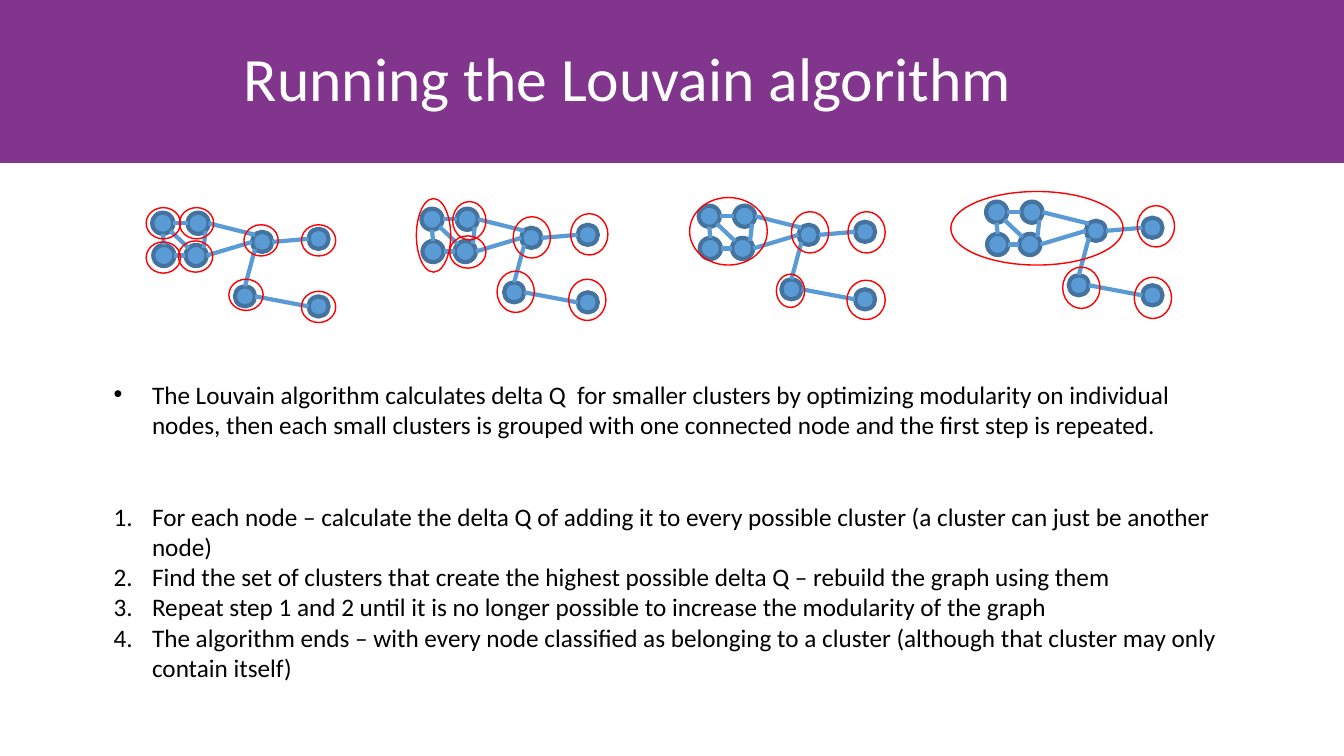
from math import cos, radians, sin
from typing import NamedTuple

from lxml.etree import SubElement
from pptx import Presentation
from pptx.dml.color import RGBColor
from pptx.enum.shapes import MSO_CONNECTOR as Link, MSO_SHAPE as Preset
from pptx.enum.text import MSO_ANCHOR as Anchor
from pptx.oxml.ns import qn
from pptx.util import Inches, Pt

PURPLE, BLUE, DARK_BLUE, RED = "81358D", "5B9BD5", "43739E", "FF0000"
WHITE, BLACK = "FFFFFF", "000000"
FONT = "Calibri"
ANGLES = {"E": 0, "SE": 45, "S": 90, "SW": 135, "W": 180, "NW": 225, "N": 270, "NE": 315}


class Oval(NamedTuple):
    """Left, top, width and height of an ellipse in inches."""
    left: float
    top: float
    width: float
    height: float

    def point(self, side: str) -> tuple[float, float]:
        """Return the point of the outline that faces a compass side."""
        angle = radians(ANGLES[side])
        return (self.left + self.width / 2 * (1 + cos(angle)),
                self.top + self.height / 2 * (1 + sin(angle)))


class Edge(NamedTuple):
    """A link between the sides of two named nodes."""
    start: str
    start_side: str
    end: str
    end_side: str


class Stage(NamedTuple):
    """One step of the algorithm: graph origin and cluster rings."""
    left: float
    top: float
    rings: list[Oval]


# Node places relative to the origin of their graph
NODES = {
    "bottom": Oval(0.82, 0.73, 0.2, 0.2),
    "hub": Oval(0.99, 0.19, 0.2, 0.2),
    "right": Oval(1.55, 0.16, 0.2, 0.2),
    "low right": Oval(1.55, 0.83, 0.2, 0.2),
    "square top left": Oval(0, 0, 0.21, 0.21),
    "square low left": Oval(0.01, 0.32, 0.21, 0.21),
    "square top right": Oval(0.35, 0, 0.21, 0.21),
    "square low right": Oval(0.33, 0.32, 0.21, 0.21),
}
EDGES = [
    Edge("hub", "W", "square low right", "E"),
    Edge("hub", "E", "right", "W"),
    Edge("hub", "NW", "square top right", "E"),
    Edge("bottom", "N", "hub", "SW"),
    Edge("bottom", "E", "low right", "W"),
    Edge("square low right", "W", "square low left", "E"),
    Edge("square low right", "NE", "square top right", "SE"),
    Edge("square low left", "N", "square top left", "S"),
    Edge("square low right", "NW", "square top left", "SE"),
    Edge("square top right", "W", "square top left", "E"),
]


def rings_at(width: float, height: float, *corners: tuple[float, float]) -> list[Oval]:
    """Return rings of one size at the given corners."""
    return [Oval(left, top, width, height) for left, top in corners]


STAGES = [
    Stage(1.51, 2.11, rings_at(
        0.34, 0.31, (1.45, 2.06), (1.45, 2.4), (1.78, 2.06), (1.77, 2.39),
        (2.42, 2.23), (2.99, 2.23), (2.27, 2.77), (2.99, 2.89))),
    Stage(4.18, 2.07, [
        Oval(4.13, 1.97, 0.34, 0.73), Oval(4.49, 2, 0.33, 0.38), Oval(4.46, 2.34, 0.36, 0.32),
        *rings_at(0.37, 0.41, (5.09, 2.15), (5.66, 2.12), (4.93, 2.69), (5.64, 2.77))]),
    Stage(6.93, 2.04, [
        Oval(6.84, 1.96, 0.77, 0.67), Oval(7.7, 2.72, 0.28, 0.33), Oval(8.4, 2.78, 0.38, 0.39),
        *rings_at(0.37, 0.41, (7.85, 2.1), (8.41, 2.1))]),
    Stage(9.78, 2, [
        Oval(9.43, 1.9, 1.71, 0.73),
        *rings_at(0.37, 0.41, (11.25, 2.75), (11.28, 2.04), (10.54, 2.65))]),
]

SUMMARY = ("The Louvain algorithm calculates delta Q  for smaller clusters by optimizing "
           "modularity on individual nodes, then each small clusters is grouped with one "
           "connected node and the first step is repeated.")
STEPS = [
    "For each node – calculate the delta Q of adding it to every possible cluster "
    "(a cluster can just be another node)",
    "Find the set of clusters that create the highest possible delta Q – rebuild the graph "
    "using them",
    "Repeat step 1 and 2 until it is no longer possible to increase the modularity of the graph",
    "The algorithm ends – with every node classified as belonging to a cluster "
    "(although that cluster may only contain itself)",
]


def color(value: str) -> RGBColor:
    """Turn a hex string into a colour."""
    return RGBColor.from_string(value)


def add_shape(shapes, preset, area: Oval, fill: str | None, line: str, weight: float) -> None:
    """Draw a preset shape; without a fill only its outline shows."""
    shape = shapes.add_shape(preset, *map(Inches, area))
    shape.shadow.inherit = False
    if fill is None:
        shape.fill.background()
    else:
        shape.fill.solid()
        shape.fill.fore_color.rgb = color(fill)
    shape.line.color.rgb = color(line)
    shape.line.width = Pt(weight)


def add_line(shapes, start: tuple[float, float], end: tuple[float, float]) -> None:
    """Draw a graph edge."""
    line = shapes.add_connector(Link.STRAIGHT, *map(Inches, (*start, *end)))
    line.line.color.rgb = color(BLUE)
    line.line.width = Pt(3)
    SubElement(line._element.spPr, qn("a:effectLst"))


def add_stage(page, stage: Stage) -> None:
    """Draw a graph and the rings of its clusters as one group."""
    shapes = page.shapes.add_group_shape().shapes
    nodes = {name: node._replace(left=stage.left + node.left, top=stage.top + node.top)
             for name, node in NODES.items()}
    for node in nodes.values():
        add_shape(shapes, Preset.OVAL, node, BLUE, DARK_BLUE, 3)
    for edge in EDGES:
        add_line(shapes, nodes[edge.start].point(edge.start_side),
                 nodes[edge.end].point(edge.end_side))
    for ring in stage.rings:
        add_shape(shapes, Preset.OVAL, ring, None, RED, 1)


def add_text(page, left: float, top: float, width: float, height: float,
             lines: list[str], size: float, tint: str):
    """Add a wrapping text box with one paragraph per line and return its frame."""
    box = page.shapes.add_textbox(*map(Inches, (left, top, width, height)))
    frame = box.text_frame
    frame.word_wrap = True
    frame.text = "\n".join(lines)
    for para in frame.paragraphs:
        for span in para.runs:
            span.font.name = FONT
            span.font.size = Pt(size)
            span.font.color.rgb = color(tint)
    return frame


def set_bullet(para, tag: str, **settings: str) -> None:
    """Give a paragraph a hanging indent and a bullet or a number."""
    props = para._p.get_or_add_pPr()
    props.set("marL", str(Inches(0.38)))
    props.set("indent", str(-Inches(0.38)))
    SubElement(props, qn("a:buFont"), typeface="Arial" if tag == "a:buChar" else "+mj-lt")
    SubElement(props, qn(tag), **settings)


deck = Presentation()
deck.slide_width, deck.slide_height = Inches(13.33), Inches(7.5)
page = deck.slides.add_slide(deck.slide_layouts[6])

add_shape(page.shapes, Preset.RECTANGLE, Oval(0, 0, 13.33, 1.61), PURPLE, PURPLE, 0.5)
title = add_text(page, 2.32, 0.08, 11, 1.45, ["Running the Louvain algorithm"], 44, WHITE)
title.vertical_anchor = Anchor.MIDDLE
title.paragraphs[0].line_spacing = 0.9

for stage in STAGES:
    add_stage(page, stage)

body = add_text(page, 1.03, 3.71, 11.27, 3.74, [SUMMARY, *STEPS], 18, BLACK)
summary, *steps = body.paragraphs
summary.space_after = Pt(44)
set_bullet(summary, "a:buChar", char="•")
for step in steps:
    set_bullet(step, "a:buAutoNum", type="arabicPeriod")

deck.save("out.pptx")
